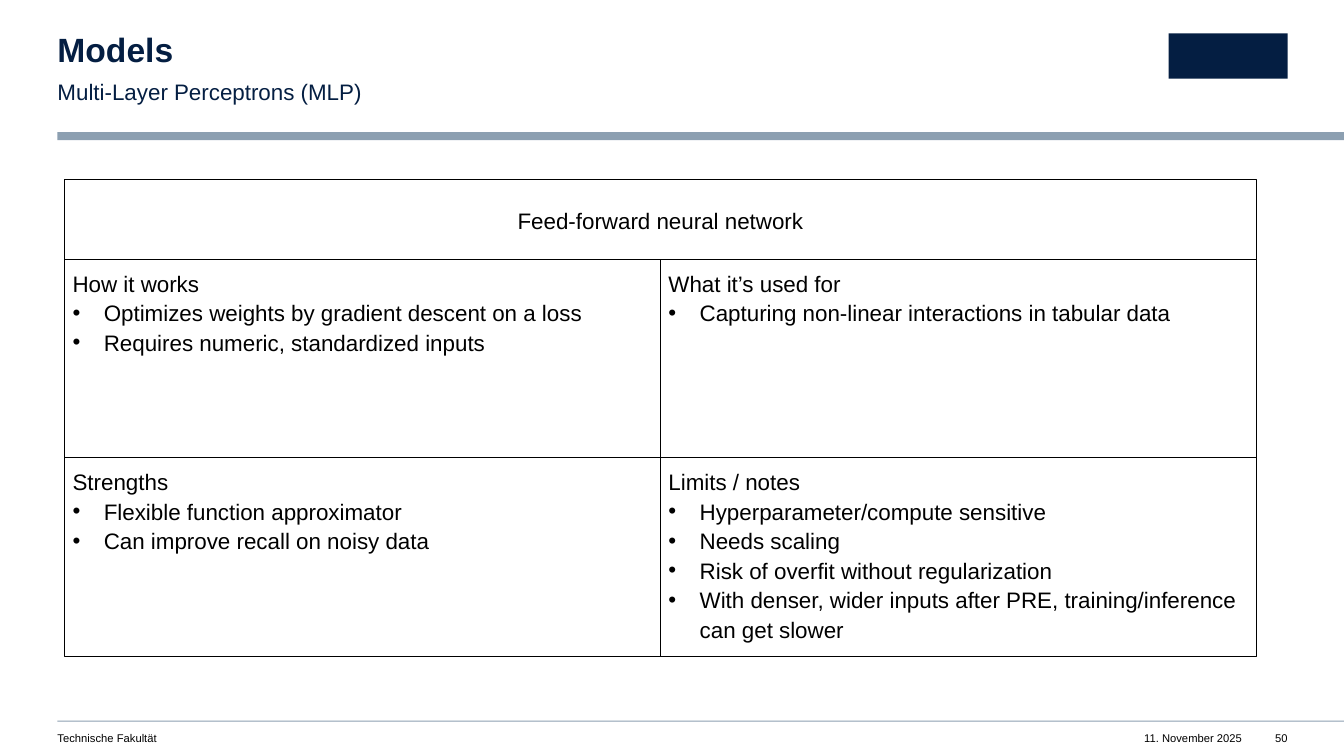
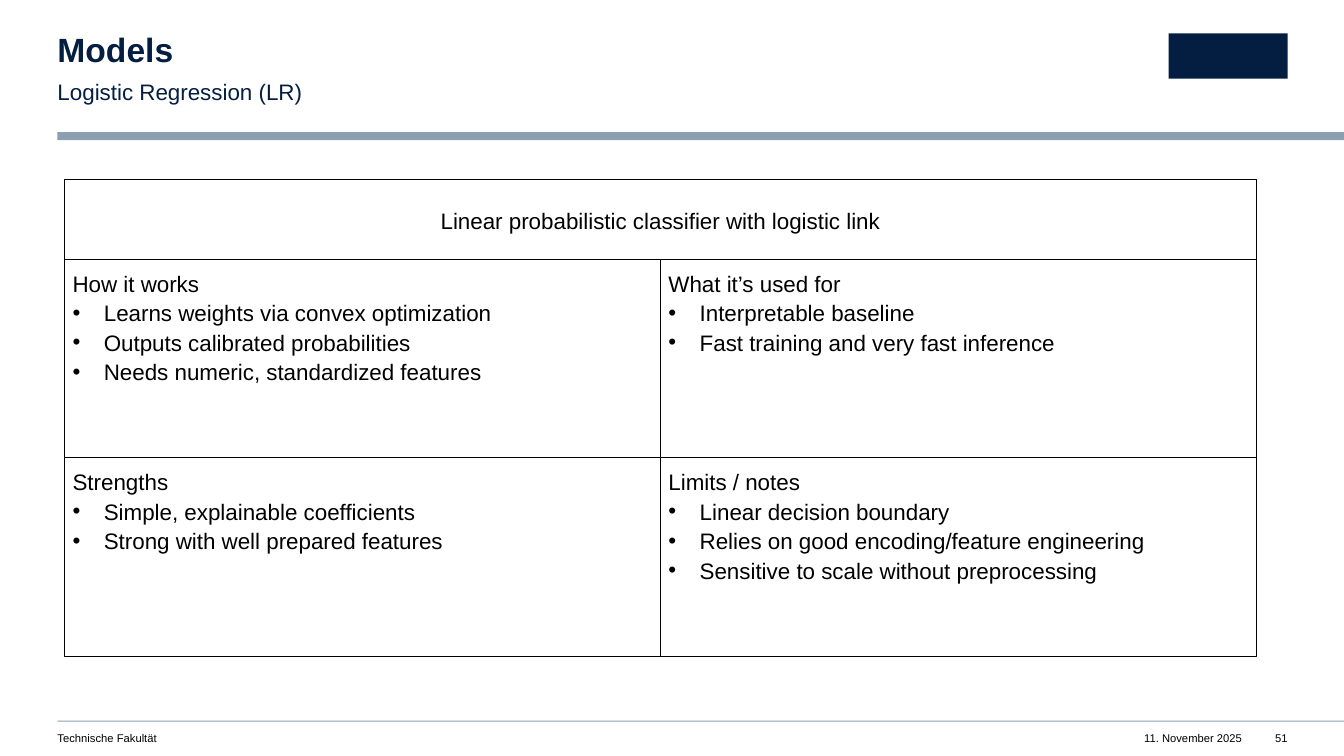
"""Build two model overview slides, each with a headline box and a two-by-two grid."""
from lxml import etree
from pptx import Presentation
from pptx.dml.color import RGBColor
from pptx.enum.shapes import MSO_SHAPE
from pptx.enum.text import MSO_ANCHOR, PP_ALIGN
from pptx.oxml.ns import qn
from pptx.util import Inches, Pt

RECT = MSO_SHAPE.RECTANGLE
TOP, MIDDLE = MSO_ANCHOR.TOP, MSO_ANCHOR.MIDDLE
LEFT, CENTER, RIGHT = PP_ALIGN.LEFT, PP_ALIGN.CENTER, PP_ALIGN.RIGHT

FONT = "Arial"
NAVY, STEEL, BLACK = "041E42", "8C9FB1", "000000"
SLIDE_W, SLIDE_H = 13.33, 7.5
MARGIN = 0.57
GRID_X, GRID_Y = 0.64, 1.78
HEADLINE_H, CELL_W, CELL_H = 0.79, 5.91, 1.97
BULLET_INDENT = 0.31

MODELS = [
    ("50", "Multi-Layer Perceptrons (MLP)", "Feed-forward neural network", [
        ("How it works", ["Optimizes weights by gradient descent on a loss",
                          "Requires numeric, standardized inputs"]),
        ("What it’s used for", ["Capturing non-linear interactions in tabular data"]),
        ("Strengths", ["Flexible function approximator",
                       "Can improve recall on noisy data"]),
        ("Limits / notes", ["Hyperparameter/compute sensitive",
                            "Needs scaling",
                            "Risk of overfit without regularization",
                            "With denser, wider inputs after PRE, "
                            "training/inference can get slower"]),
    ]),
    ("51", "Logistic Regression (LR)", "Linear probabilistic classifier with logistic link", [
        ("How it works", ["Learns weights via convex optimization",
                          "Outputs calibrated probabilities",
                          "Needs numeric, standardized features"]),
        ("What it’s used for", ["Interpretable baseline",
                                "Fast training and very fast inference"]),
        ("Strengths", ["Simple, explainable coefficients",
                       "Strong with well prepared features"]),
        ("Limits / notes", ["Linear decision boundary",
                            "Relies on good encoding/feature engineering",
                            "Sensitive to scale without preprocessing"]),
    ]),
]


def add_box(slide, x, y, w, h, fill=None, line=None):
    """Add a flat rectangle with an optional fill and outline."""
    box = slide.shapes.add_shape(RECT, Inches(x), Inches(y), Inches(w), Inches(h))
    box.shadow.inherit = False
    if fill:
        box.fill.solid()
        box.fill.fore_color.rgb = RGBColor.from_string(fill)
    else:
        box.fill.background()
    if line:
        box.line.color.rgb = RGBColor.from_string(line)
        box.line.width = Pt(0.75)
    else:
        box.line.fill.background()
    return box


def write(frame, heading, bullets=(), size=16, color=BLACK, bold=False, align=LEFT,
          anchor=TOP, inset=0, spacing=1.1, after=0):
    """Write a heading and its bullets into a text frame."""
    frame.word_wrap = True
    frame.vertical_anchor = anchor
    frame.margin_left = frame.margin_right = Inches(inset)
    frame.margin_top = frame.margin_bottom = Inches(inset)
    for index, text in enumerate([heading, *bullets]):
        paragraph = frame.add_paragraph() if index else frame.paragraphs[0]
        paragraph.alignment = align
        paragraph.line_spacing = spacing
        paragraph.space_after = Pt(after)
        if index:
            properties = paragraph._p.get_or_add_pPr()
            properties.set("marL", str(Inches(BULLET_INDENT)))
            properties.set("indent", str(-Inches(BULLET_INDENT)))
            etree.SubElement(properties, qn("a:buFont")).set("typeface", FONT)
            etree.SubElement(properties, qn("a:buChar")).set("char", "•")
        run = paragraph.add_run()
        run.text = text
        run.font.name = FONT
        run.font.size = Pt(size)
        run.font.bold = bold
        run.font.color.rgb = RGBColor.from_string(color)


prs = Presentation()
prs.slide_width, prs.slide_height = Inches(SLIDE_W), Inches(SLIDE_H)
blank = prs.slide_layouts[6]

for page, subtitle, headline, topics in MODELS:
    slide = prs.slides.add_slide(blank)

    for band_y, band_h in [(1.31, 0.08), (7.15, 0.01)]:
        add_box(slide, MARGIN, band_y, SLIDE_W - MARGIN, band_h, fill=STEEL)
    add_box(slide, 11.59, 0.33, 1.18, 0.45, fill=NAVY)

    footer = {"size": 8, "spacing": 1.0}
    for text, x, y, w, h, style in [
        ("Models", MARGIN, 0.33, 7.49, 0.36,
         {"size": 24, "color": NAVY, "bold": True, "spacing": 0.9}),
        (subtitle, MARGIN, 0.75, 7.49, 0.27, {"color": NAVY, "after": 12}),
        ("Technische Fakultät", MARGIN, 7.26, 5.98, 0.13, footer),
        ("11. November 2025", 11.12, 7.26, 1.2, 0.13, {**footer, "align": RIGHT}),
        (page, 12.47, 7.26, 0.3, 0.13, {**footer, "align": RIGHT}),
    ]:
        label = slide.shapes.add_textbox(Inches(x), Inches(y), Inches(w), Inches(h))
        write(label.text_frame, text, **style)

    headline_box = add_box(slide, GRID_X, GRID_Y, 2 * CELL_W, HEADLINE_H, line=BLACK)
    write(headline_box.text_frame, headline, align=CENTER, anchor=MIDDLE, inset=0.2, after=12)

    for index, (heading, bullets) in enumerate(topics):
        row, column = divmod(index, 2)
        cell = add_box(slide, GRID_X + column * CELL_W, GRID_Y + HEADLINE_H + row * CELL_H,
                       CELL_W, CELL_H, line=BLACK)
        write(cell.text_frame, heading, bullets, inset=0.08)

prs.save("out.pptx")
